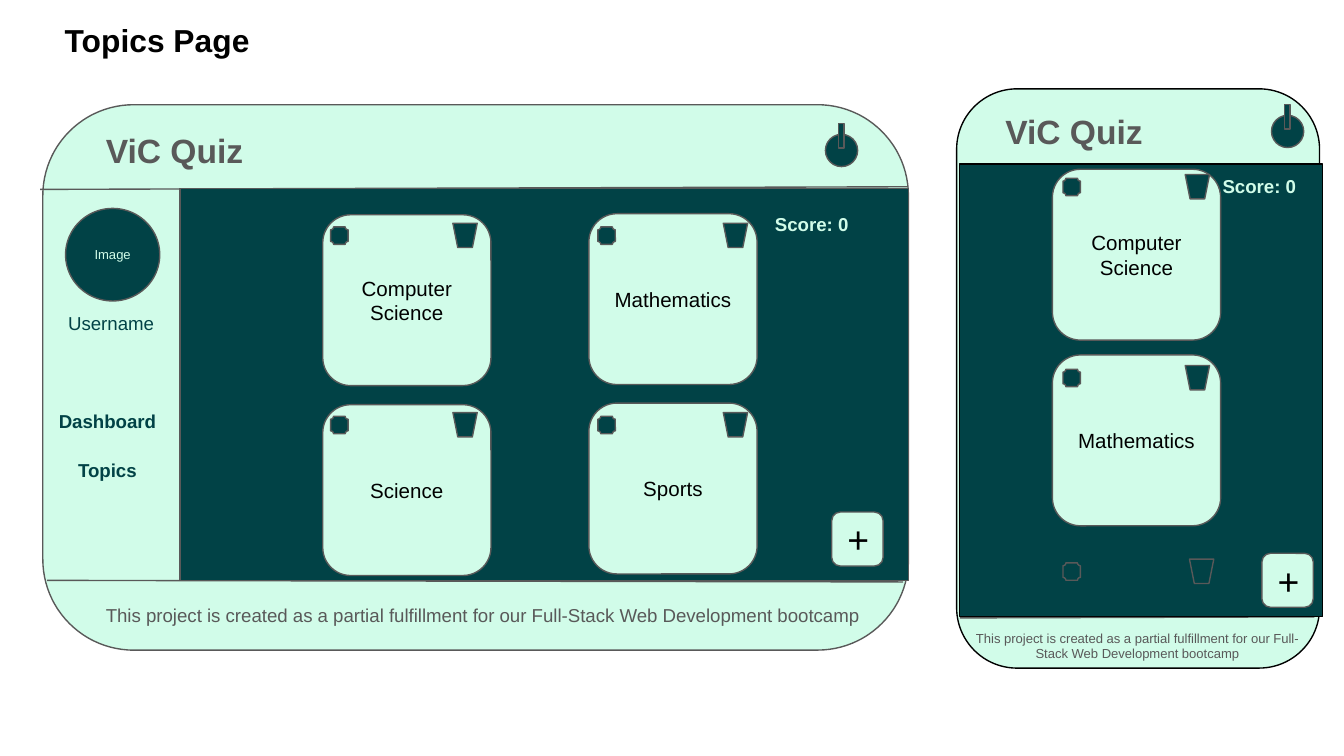
from lxml import etree
from pptx import Presentation
from pptx.dml.color import RGBColor
from pptx.enum.shapes import MSO_CONNECTOR, MSO_SHAPE
from pptx.enum.text import MSO_ANCHOR, PP_ALIGN
from pptx.oxml.ns import qn
from pptx.util import Cm, Pt

MINT = RGBColor(0xD1, 0xFC, 0xE9)
TEAL = RGBColor(0x01, 0x42, 0x46)
GREY = RGBColor(0x59, 0x59, 0x59)
BLACK = RGBColor(0, 0, 0)
FOOTER = ("This project is created as a partial fulfillment for "
          "our Full-Stack Web Development bootcamp")


def write(sp, text, size, color, bold=False, align=PP_ALIGN.CENTER,
          anchor=MSO_ANCHOR.TOP):
    tf = sp.text_frame
    tf.word_wrap = True
    tf.vertical_anchor = anchor
    tf.margin_left = tf.margin_right = tf.margin_top = tf.margin_bottom = Cm(0.25)
    tf.text = text
    for p in tf.paragraphs:
        p.alignment = align
        p.font.name = "Arial"
        p.font.size = Pt(size)
        p.font.bold = bold
        p.font.color.rgb = color


def add_box(kind, x, y, w, h, fill=TEAL, line=GREY):
    sp = s.shapes.add_shape(kind, Cm(x), Cm(y), Cm(w), Cm(h))
    sp.shadow.inherit = False
    sp.fill.solid()
    sp.fill.fore_color.rgb = fill
    sp.line.color.rgb = line
    sp.line.width = Pt(0.75)
    return sp


prs = Presentation()
prs.slide_width, prs.slide_height = Cm(25.4), Cm(14.29)
s = prs.slides.add_slide(prs.slide_layouts[5])

title = s.shapes.title
title.left, title.top, title.width, title.height = Cm(0.58), Cm(0.15), Cm(4.78), Cm(1.24)
write(title, "Topics Page", 17, BLACK, bold=True)

# Desktop and mobile frames, dividers and screens
add_box(MSO_SHAPE.ROUNDED_RECTANGLE, 0.81, 1.98, 16.36, 10.31, MINT)
add_box(MSO_SHAPE.ROUNDED_RECTANGLE, 18.08, 1.68, 6.86, 10.95, MINT, BLACK)
for x1, y1, x2, y2 in [
    (18.14, 3.12, 24.84, 3.1),
    (18.14, 11.68, 24.84, 11.66),
    (0.76, 3.58, 17.15, 3.53),
    (0.89, 10.97, 17.07, 11),
    (3.51, 3.58, 3.4, 10.92),
]:
    divider = s.shapes.add_connector(MSO_CONNECTOR.STRAIGHT, Cm(x1), Cm(y1), Cm(x2), Cm(y2))
    divider.line.color.rgb = GREY
    divider.line.width = Pt(0.75)
    etree.SubElement(divider._element.spPr, qn("a:effectLst"))
add_box(MSO_SHAPE.RECTANGLE, 18.14, 3.1, 6.86, 8.56, line=BLACK)
add_box(MSO_SHAPE.RECTANGLE, 3.4, 3.56, 13.77, 7.42)

# Power buttons
for x, y in [(15.6, 2.54), (24.03, 2.18)]:
    add_box(MSO_SHAPE.OVAL, x, y, 0.61, 0.61)
    add_box(MSO_SHAPE.RECTANGLE, x + 0.25, y - 0.2, 0.1, 0.46)

avatar = add_box(MSO_SHAPE.OVAL, 1.24, 3.94, 1.78, 1.75)
write(avatar, "Image", 7, MINT, anchor=MSO_ANCHOR.MIDDLE)

# Headings, footers, menu and scores
LEFT, CENTER = PP_ALIGN.LEFT, PP_ALIGN.CENTER
for text, x, y, w, h, size, color, bold, align in [
    ("ViC Quiz", 1.75, 2.21, 3.84, 1.27, 18, GREY, True, LEFT),
    ("ViC Quiz", 18.75, 1.85, 3.84, 1.27, 18, GREY, True, LEFT),
    (FOOTER, 1.75, 11.2, 15.09, 0.94, 10, GREY, False, LEFT),
    (FOOTER, 18.14, 11.66, 6.71, 1.12, 7, GREY, False, CENTER),
    ("Username", 1.04, 5.69, 2.21, 0.61, 10, TEAL, False, LEFT),
    ("Dashboard", 0.81, 7.54, 2.44, 0.61, 10, TEAL, True, CENTER),
    ("Topics", 0.81, 8.46, 2.44, 0.61, 10, TEAL, True, CENTER),
    ("Score: 0", 14.12, 3.81, 2.44, 0.61, 10, MINT, True, CENTER),
    ("Score: 0", 22.58, 3.1, 2.44, 0.61, 10, MINT, True, CENTER),
]:
    tb = s.shapes.add_textbox(Cm(x), Cm(y), Cm(w), Cm(h))
    write(tb, text, size, color, bold, align)

# Topic cards
for text, x, y in [
    ("Computer\nScience", 6.1, 4.06),
    ("Mathematics", 11.13, 4.04),
    ("Science", 6.1, 7.65),
    ("Sports", 11.13, 7.62),
    ("Computer\nScience", 19.89, 3.2),
    ("Mathematics", 19.89, 6.71),
]:
    card = add_box(MSO_SHAPE.ROUNDED_RECTANGLE, x, y, 3.18, 3.23, MINT)
    write(card, text, 11, BLACK, anchor=MSO_ANCHOR.MIDDLE)

# Add buttons
for x, y in [(15.72, 9.68), (23.85, 10.46)]:
    plus = add_box(MSO_SHAPE.ROUNDED_RECTANGLE, x, y, 0.97, 1.02, MINT)
    write(plus, "+", 20, BLACK, align=LEFT, anchor=MSO_ANCHOR.MIDDLE)

# Edit and delete icons
for edit_x, bin_x, y in [
    (6.25, 8.56, 4.22), (11.3, 13.67, 4.22),
    (6.25, 8.56, 7.8), (11.3, 13.67, 7.8),
    (20.09, 22.4, 3.3), (20.09, 22.4, 6.91), (20.09, 22.48, 10.57),
]:
    add_box(MSO_SHAPE.FLOWCHART_MANUAL_OPERATION, bin_x, y, 0.46, 0.46)
    add_box(MSO_SHAPE.PLAQUE, edit_x, y + 0.07, 0.33, 0.33)

prs.save("out.pptx")
